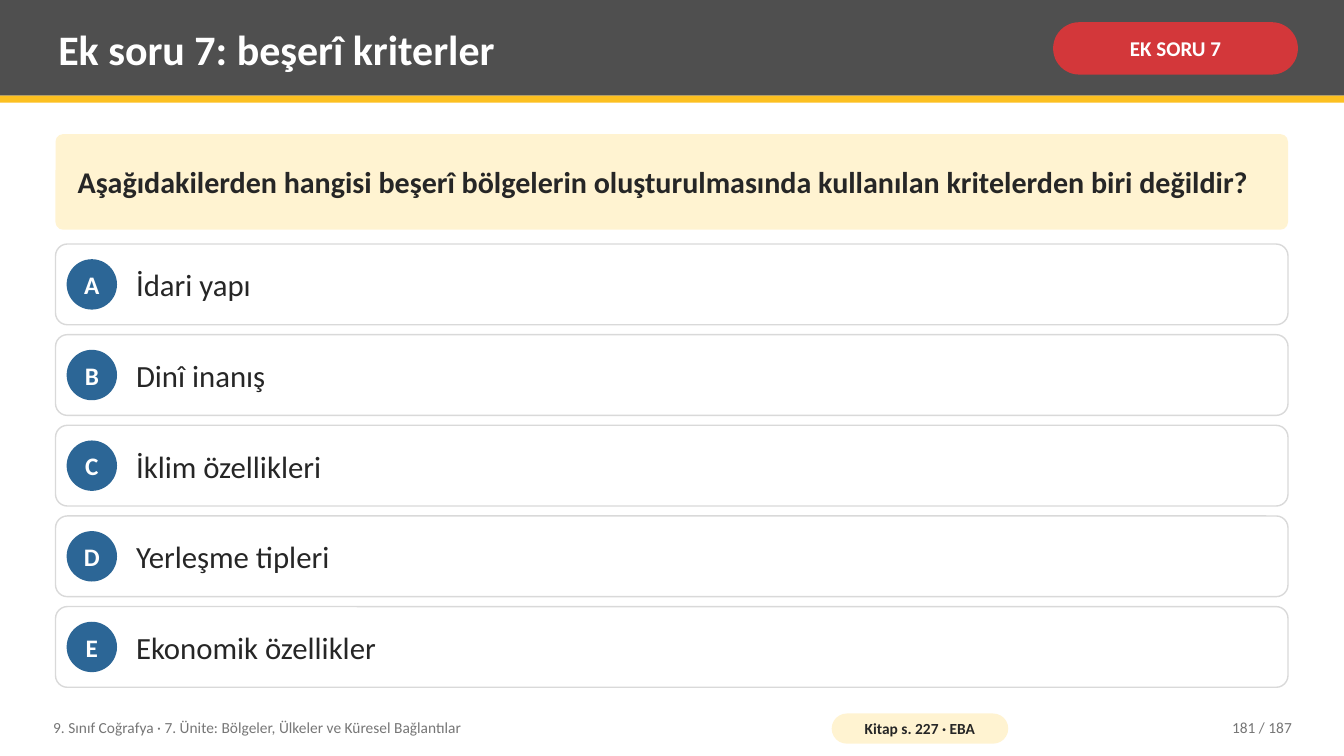
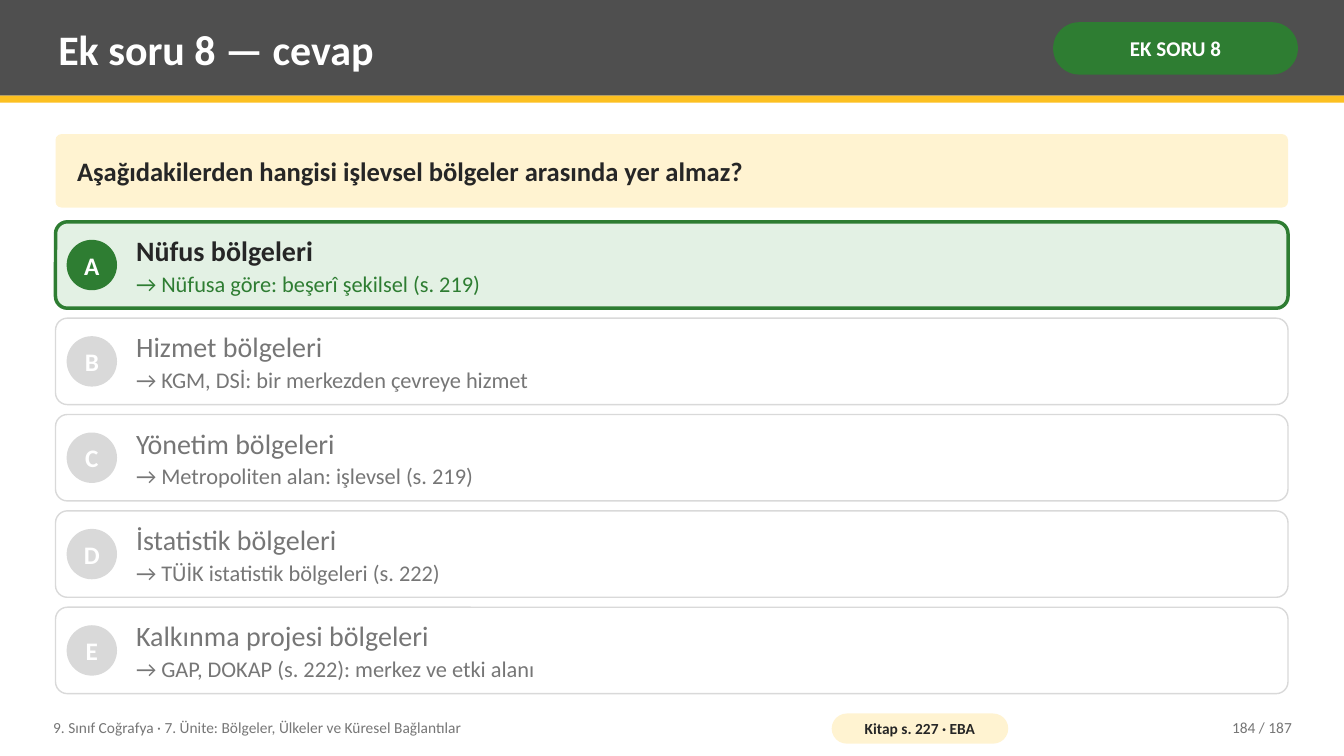
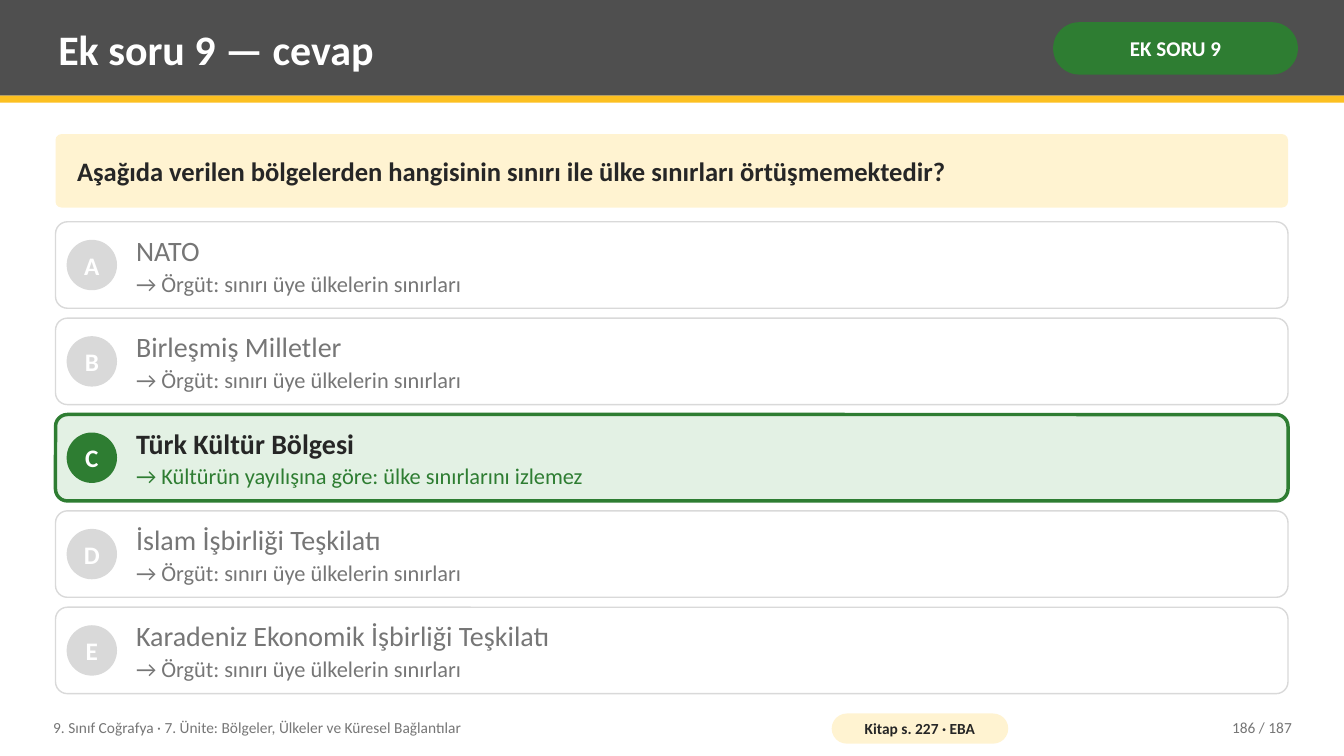
from pptx import Presentation
from pptx.dml.color import RGBColor
from pptx.enum.shapes import MSO_SHAPE
from pptx.enum.text import MSO_ANCHOR, PP_ALIGN
from pptx.util import Cm, Pt

RECTANGLE = MSO_SHAPE.RECTANGLE
ROUNDED = MSO_SHAPE.ROUNDED_RECTANGLE
OVAL = MSO_SHAPE.OVAL
MIDDLE = MSO_ANCHOR.MIDDLE
LEFT, CENTER, RIGHT = PP_ALIGN.LEFT, PP_ALIGN.CENTER, PP_ALIGN.RIGHT

FONT = "Calibri"
COLORS = {
    "header": "4F4F4F",
    "accent": "FCC021",
    "cream": "FFF3D1",
    "red": "D3373A",
    "green": "2E7D32",
    "mint": "E3F1E4",
    "blue": "2C6696",
    "ink": "262626",
    "muted": "767676",
    "border": "D9D9D9",
    "white": "FFFFFF",
}
WIDTH, HEIGHT = 33.87, 19.05
MARGIN, CARD_WIDTH = 1.4, 31.06
QUESTION_TOP, QUESTION_GAP = 3.38, 0.36
OPTION_GAP, OPTION_RADIUS, BADGE_SIZE = 0.25, 0.3, 1.27
UNIT = "9. Sınıf Coğrafya · 7. Ünite: Bölgeler, Ülkeler ve Küresel Bağlantılar"
SOURCE = "Kitap s. 227 · EBA"
PAGE_COUNT = 187
MEMBER_BORDERS = "Örgüt: sınırı üye ülkelerin sınırları"


def color(name):
    return RGBColor.from_string(COLORS[name])


def write(box, text, size=11, ink="ink", bold=False, align=LEFT,
          inset=(0.2, 0.1), wrap=True, after=None, added=False):
    frame = box.text_frame
    frame.word_wrap = wrap
    frame.vertical_anchor = MIDDLE
    frame.margin_left = frame.margin_right = Cm(inset[0])
    frame.margin_top = frame.margin_bottom = Cm(inset[1])
    para = frame.add_paragraph() if added else frame.paragraphs[0]
    para.alignment = align
    if after is not None:
        para.space_after = Pt(after)
    span = para.add_run()
    span.text = text
    span.font.name = FONT
    span.font.size = Pt(size)
    span.font.bold = bold
    span.font.color.rgb = color(ink)


class QuizDeck:
    def __init__(self):
        self.deck = Presentation()
        self.deck.slide_width, self.deck.slide_height = Cm(WIDTH), Cm(HEIGHT)
        self.page = None

    def shape(self, kind, left, top, width, height, fill, line=None, line_width=1, corner=None):
        box = self.page.shapes.add_shape(kind, Cm(left), Cm(top), Cm(width), Cm(height))
        box.shadow.inherit = False
        box.fill.solid()
        box.fill.fore_color.rgb = color(fill)
        if line:
            box.line.color.rgb = color(line)
            box.line.width = Pt(line_width)
        else:
            box.line.fill.background()
        if corner is not None:
            box.adjustments[0] = corner
        return box

    def label(self, left, top, width, height, text, **style):
        box = self.page.shapes.add_textbox(Cm(left), Cm(top), Cm(width), Cm(height))
        write(box, text, **style)
        return box

    def header(self, title, tag, tag_fill):
        self.shape(RECTANGLE, 0, 0, WIDTH, 2.41, "header")
        self.shape(RECTANGLE, 0, 2.41, WIDTH, 0.18, "accent")
        self.label(1.27, 0.18, 24.77, 2.08, title, size=30, ink="white", bold=True)
        pill = self.shape(ROUNDED, 26.54, 0.56, 6.17, 1.32, tag_fill, corner=0.5)
        write(pill, tag, size=15, ink="white", bold=True, align=CENTER, inset=(0.13, 0.05))

    def question(self, text, height, size):
        card = self.shape(ROUNDED, MARGIN, QUESTION_TOP, CARD_WIDTH, height, "cream", corner=0.08)
        write(card, text, size=size, bold=True, inset=(0.5, 0.2))

    def option(self, top, height, letter, text, note=None, badge="blue", ink="ink",
               size=22, correct=False):
        fill, line, line_width = ("mint", "green", 2.5) if correct else ("white", "border", 1)
        self.shape(ROUNDED, MARGIN, top, CARD_WIDTH, height, fill, line, line_width,
                   corner=OPTION_RADIUS / height)
        circle = self.shape(OVAL, 1.68, top + (height - BADGE_SIZE) / 2,
                            BADGE_SIZE, BADGE_SIZE, badge)
        write(circle, letter, size=18, ink="white", bold=True, align=CENTER,
              inset=(0, 0), wrap=False)
        box = self.label(3.23, top, 28.98, height, text, size=size, ink=ink, bold=correct,
                         after=2 if note else None)
        if note:
            write(box, f"→ {note}", size=16, ink="green" if correct else "muted", added=True)

    def footer(self, number):
        self.label(1.14, 17.88, 19.3, 0.91, UNIT, ink="muted")
        pill = self.shape(ROUNDED, 20.96, 17.98, 4.45, 0.76, "cream", corner=0.5)
        write(pill, SOURCE, bold=True, align=CENTER, inset=(0.1, 0))
        self.label(28.7, 17.88, 4.06, 0.91, f"{number} / {PAGE_COUNT}", ink="muted", align=RIGHT)

    def quiz(self, title, exercise, number, question, options, answer=None):
        solved = answer is not None
        self.page = self.deck.slides.add_slide(self.deck.slide_layouts[6])
        self.header(title, f"EK SORU {exercise}", "green" if solved else "red")
        question_height, question_size, bottom = (1.85, 19, 17.48) if solved else (2.41, 21.5, 17.32)
        self.question(question, question_height, question_size)
        top = QUESTION_TOP + question_height + QUESTION_GAP
        count = len(options)
        height = (bottom - top - (count - 1) * OPTION_GAP) / count
        for index, (letter, (text, note)) in enumerate(zip("ABCDE", options)):
            style = {}
            if solved:
                correct = letter == answer
                style = {"size": 20, "correct": correct,
                         "badge": "green" if correct else "border",
                         "ink": "ink" if correct else "muted"}
            self.option(top + index * (height + OPTION_GAP), height, letter, text, note, **style)
        self.footer(number)


def main():
    quiz_deck = QuizDeck()
    quiz_deck.quiz(
        "Ek soru 7: beşerî kriterler", 7, 181,
        "Aşağıdakilerden hangisi beşerî bölgelerin oluşturulmasında kullanılan "
        "kritelerden biri değildir?",
        [("İdari yapı", None),
         ("Dinî inanış", None),
         ("İklim özellikleri", None),
         ("Yerleşme tipleri", None),
         ("Ekonomik özellikler", None)])
    quiz_deck.quiz(
        "Ek soru 8 — cevap", 8, 184,
        "Aşağıdakilerden hangisi işlevsel bölgeler arasında yer almaz?",
        [("Nüfus bölgeleri", "Nüfusa göre: beşerî şekilsel (s. 219)"),
         ("Hizmet bölgeleri", "KGM, DSİ: bir merkezden çevreye hizmet"),
         ("Yönetim bölgeleri", "Metropoliten alan: işlevsel (s. 219)"),
         ("İstatistik bölgeleri", "TÜİK istatistik bölgeleri (s. 222)"),
         ("Kalkınma projesi bölgeleri", "GAP, DOKAP (s. 222): merkez ve etki alanı")],
        answer="A")
    quiz_deck.quiz(
        "Ek soru 9 — cevap", 9, 186,
        "Aşağıda verilen bölgelerden hangisinin sınırı ile ülke sınırları örtüşmemektedir?",
        [("NATO", MEMBER_BORDERS),
         ("Birleşmiş Milletler", MEMBER_BORDERS),
         ("Türk Kültür Bölgesi", "Kültürün yayılışına göre: ülke sınırlarını izlemez"),
         ("İslam İşbirliği Teşkilatı", MEMBER_BORDERS),
         ("Karadeniz Ekonomik İşbirliği Teşkilatı", MEMBER_BORDERS)],
        answer="C")
    quiz_deck.deck.save("out.pptx")


if __name__ == "__main__":
    main()
